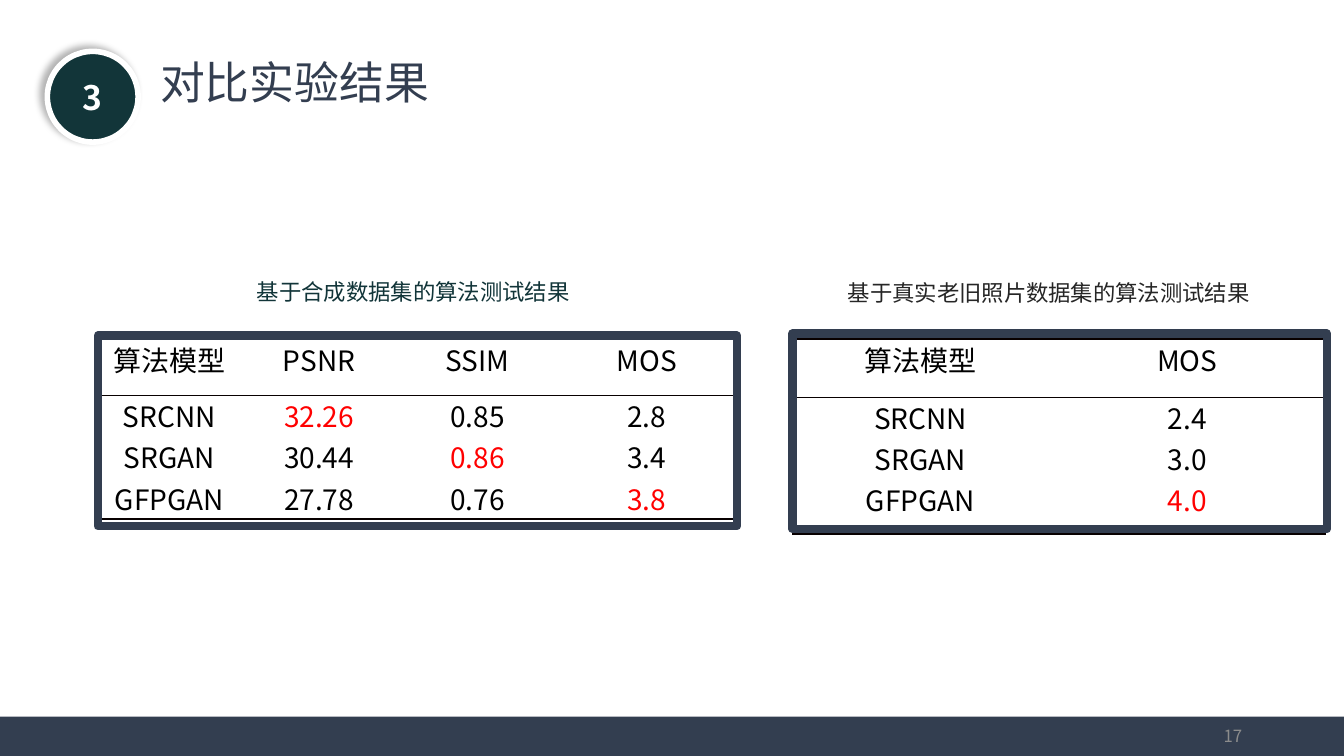
from lxml import etree
from pptx import Presentation
from pptx.dml.color import RGBColor
from pptx.enum.shapes import MSO_SHAPE
from pptx.enum.text import MSO_ANCHOR, PP_ALIGN
from pptx.oxml.ns import qn
from pptx.util import Inches, Pt

OVAL, RECTANGLE = MSO_SHAPE.OVAL, MSO_SHAPE.RECTANGLE
TOP, MIDDLE = MSO_ANCHOR.TOP, MSO_ANCHOR.MIDDLE
LEFT, CENTER, RIGHT = PP_ALIGN.LEFT, PP_ALIGN.CENTER, PP_ALIGN.RIGHT
JUSTIFY = PP_ALIGN.JUSTIFY
FONT = "Noto Sans CJK SC"
WHITE = RGBColor(0xFF, 0xFF, 0xFF)
BLACK = RGBColor(0, 0, 0)
RED = RGBColor(0xFF, 0, 0)
SLATE = RGBColor(0x33, 0x3E, 0x50)
TEAL = RGBColor(0x12, 0x35, 0x39)
CHARCOAL = RGBColor(0x26, 0x26, 0x26)
GRAY = RGBColor(0x8C, 0x8C, 0x8C)
RULE = RGBColor(0x08, 0, 0)

SECTION = "3"
TEXTS = [
    ("对比实验结果", (1.49, 0.49, 3.39, 0.64), 32, SLATE, LEFT, TOP, 1),
    ("基于合成数据集的算法测试结果", (2.45, 2.58, 4.39, 0.5), 16, TEAL, JUSTIFY, TOP, 1.5),
    ("基于真实老旧照片数据集的算法测试结果", (8.31, 2.45, 4.41, 0.63), 16, CHARCOAL, LEFT, TOP, 2),
    ("17", (9.42, 7.1, 3, 0.4), 12, GRAY, RIGHT, MIDDLE, 1),
]
TABLES = [
    {
        "rows": [
            ("算法模型", "PSNR", "SSIM", "MOS"),
            ("SRCNN", "32.26", "0.85", "2.8"),
            ("SRGAN", "30.44", "0.86", "3.4"),
            ("GFPGAN", "27.78", "0.76", "3.8"),
        ],
        "best": {"32.26", "0.86", "3.8"},
        "place": (0.97, 3.36),
        "widths": (1.42, 1.55, 1.59, 1.77),
        "heights": (0.56, 0.41, 0.41, 0.41),
        "frame": (0.97, 3.33, 6.34, 1.89),
    },
    {
        "rows": [("算法模型", "MOS"), ("SRCNN", "2.4"), ("SRGAN", "3.0"), ("GFPGAN", "4.0")],
        "best": {"4.0"},
        "place": (7.86, 3.36),
        "widths": (2.54, 2.75),
        "heights": (0.58, 0.37, 0.37, 0.55),
        "frame": (7.86, 3.31, 5.3, 1.94),
    },
]


def write(frame, text, size, color, align, spacing=1, bold=False):
    frame.text = text
    para = frame.paragraphs[0]
    para.alignment = align
    para.line_spacing = spacing
    font = para.runs[0].font
    font.name, font.size, font.bold = FONT, Pt(size), bold
    font.color.rgb = color
    latin = font._element.find(qn("a:latin"))
    east_asian = etree.Element(qn("a:ea"), typeface=FONT)
    latin.addnext(east_asian)


def add_shape(page, kind, place, fill=None, line=None, width=0):
    shape = page.shapes.add_shape(kind, *map(Inches, place))
    shape.shadow.inherit = False
    if fill is None:
        shape.fill.background()
    else:
        shape.fill.solid()
        shape.fill.fore_color.rgb = fill
    if line is None:
        shape.line.fill.background()
    else:
        shape.line.color.rgb = line
        shape.line.width = Pt(width)
    return shape


def add_text(page, text, place, size, color, align, anchor, spacing):
    box = page.shapes.add_textbox(*map(Inches, place))
    box.text_frame.word_wrap = True
    box.text_frame.vertical_anchor = anchor
    write(box.text_frame, text, size, color, align, spacing)


def set_borders(cell, top, bottom):
    properties = cell._tc.get_or_add_tcPr()
    for side, width in (("L", 0), ("R", 0), ("T", top), ("B", bottom)):
        line = etree.SubElement(properties, qn(f"a:ln{side}"), w=str(Pt(width)))
        if width:
            fill = etree.SubElement(line, qn("a:solidFill"))
            etree.SubElement(fill, qn("a:srgbClr"), val=str(RULE))
        else:
            etree.SubElement(line, qn("a:noFill"))


def add_result_table(page, rows, best, place, widths, heights, frame):
    size = (sum(widths), sum(heights))
    table = page.shapes.add_table(len(rows), len(widths), *map(Inches, place + size)).table
    table.first_row = table.horz_banding = False
    for column, width in zip(table.columns, widths):
        column.width = Inches(width)
    last = len(rows) - 1
    tops = {0: 1.5, 1: 1}
    bottoms = {0: 1, last: 1.5}
    for r, (values, height) in enumerate(zip(rows, heights)):
        table.rows[r].height = Inches(height)
        for c, value in enumerate(values):
            cell = table.cell(r, c)
            cell.margin_left = cell.margin_right = Inches(0.07)
            cell.margin_top = cell.margin_bottom = 0
            set_borders(cell, tops.get(r, 0), bottoms.get(r, 0))
            cell.fill.background()
            write(cell.text_frame, value, 20, RED if value in best else BLACK, CENTER)
    add_shape(page, RECTANGLE, frame, line=SLATE, width=6)


def add_badge(page):
    badge = add_shape(page, OVAL, (0.47, 0.51, 0.9, 0.9), TEAL, WHITE, 4)
    effects = badge._element.spPr.find(qn("a:effectLst"))
    shadow = etree.SubElement(effects, qn("a:outerShdw"), blurRad=str(Pt(5.1)),
                              dist=str(Pt(4)), dir=str(215 * 60000), algn="ctr", rotWithShape="0")
    color = etree.SubElement(shadow, qn("a:srgbClr"), val=str(BLACK))
    etree.SubElement(color, qn("a:alpha"), val="30000")
    badge.text_frame.vertical_anchor = MIDDLE
    write(badge.text_frame, SECTION, 24, WHITE, CENTER, bold=True)


def main():
    deck = Presentation()
    deck.slide_width, deck.slide_height = Inches(13.33), Inches(7.5)
    page = deck.slides.add_slide(deck.slide_layouts[6])
    add_badge(page)
    add_shape(page, RECTANGLE, (0, 7.11, 13.33, 0.39), SLATE)
    for result in TABLES:
        add_result_table(page, **result)
    for text in TEXTS:
        add_text(page, *text)
    deck.save("out.pptx")


if __name__ == "__main__":
    main()
